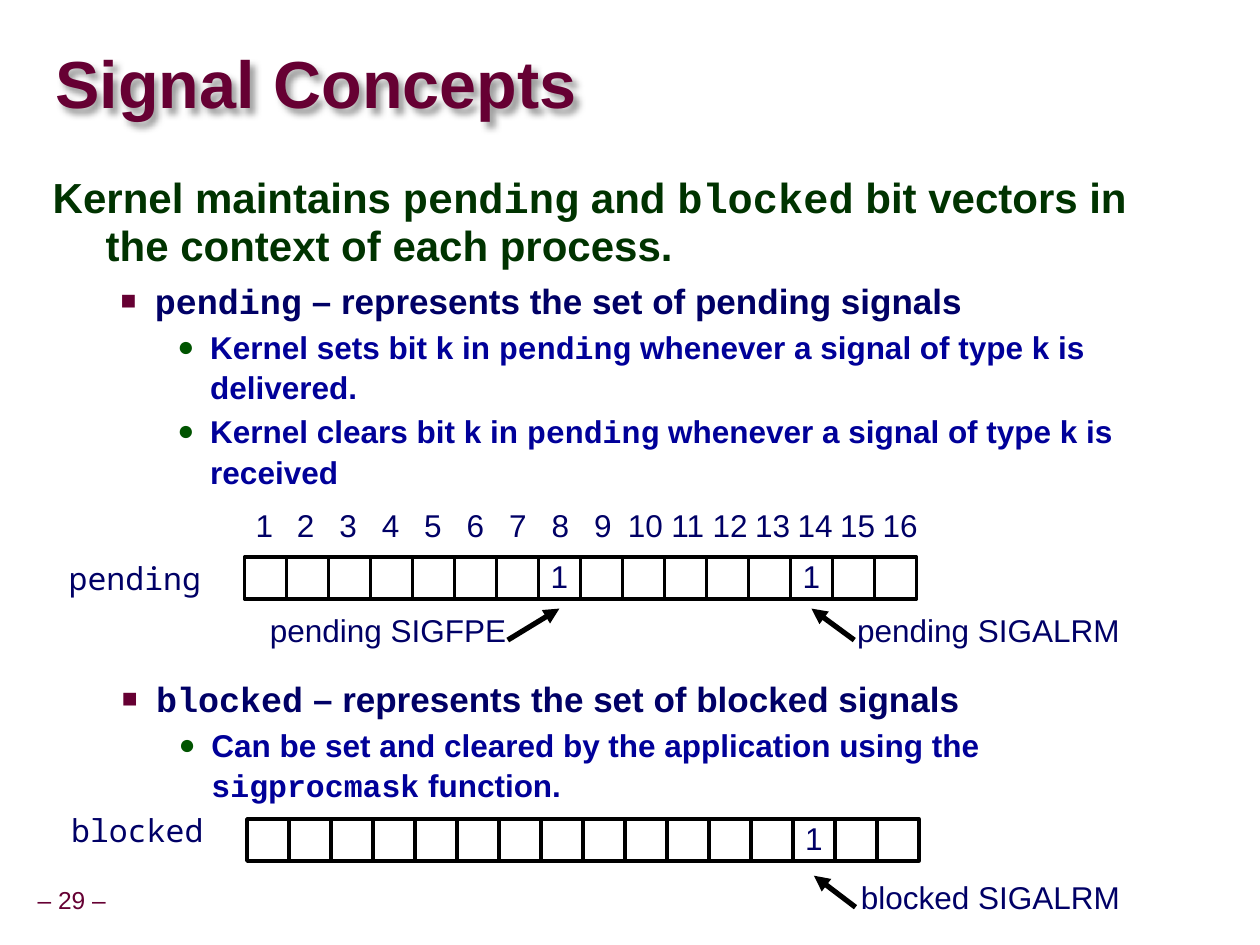
from lxml import etree
from pptx import Presentation
from pptx.dml.color import RGBColor
from pptx.enum import shapes, text
from pptx.oxml import ns
from pptx.util import Inches, Pt

THEME = dict(
    maroon="660033", green="003300", navy="000066", blue="000099", dot="005400",
    black="000000", sans="Arial", code="Courier New", mono="Noto Sans Mono",
    title=38, lead=24, item=20, detail=18, footer=14,
)
LEVELS = [  # indents in inches, spacing in points, bullet as sign, colour, percent
    dict(size="lead", color="green", left=0.42, hang=0.42, before=12, line=0.95, bullet=None),
    dict(size="item", color="navy", left=0.81, hang=0.27, before=5, line=1.0,
         bullet=("■", "maroon", 75)),
    dict(size="detail", color="blue", left=1.25, hang=0.26, before=2, line=1.07,
         bullet=("●", "dot", 90)),
]
CELL = 1 / 3
BITS = 16

deck = Presentation()
deck.slide_width, deck.slide_height = Inches(10), Inches(7.5)
slide = deck.slides.add_slide(deck.slide_layouts[6])


def sub(parent, tag, **attributes):
    return etree.SubElement(parent, ns.qn(tag), {k: str(v) for k, v in attributes.items()})


def write(shape, paragraphs, inset=(0.1, 0.05), wrap=False, anchor="TOP", align="CENTER"):
    """Each paragraph is (runs, size, colour, line spacing, bold); a run is (words, font)."""
    frame = shape.text_frame
    margins = dict(zip(("margin_left", "margin_top", "margin_right", "margin_bottom"),
                       map(Inches, inset * 2)))
    for name, value in dict(margins, word_wrap=wrap,
                            vertical_anchor=text.MSO_ANCHOR[anchor]).items():
        setattr(frame, name, value)
    for index, (runs, size, color, spacing, bold) in enumerate(paragraphs):
        line = frame.add_paragraph() if index else frame.paragraphs[0]
        line.alignment, line.line_spacing = text.PP_ALIGN[align], spacing
        for words, font in runs:
            run = line.add_run()
            run.text = words
            for name, value in dict(name=THEME[font], size=Pt(THEME[size]), bold=bold).items():
                setattr(run.font, name, value)
            run.font.color.rgb = RGBColor.from_string(THEME[color])
    return frame


# Title with a soft shadow
title = slide.shapes.add_textbox(*map(Inches, (0.44, 0.27, 9.53, 0.85)))
write(title, [([("Signal Concepts", "sans")], "title", "maroon", 0.87, True)],
      inset=(0, 0), wrap=True, anchor="MIDDLE", align="LEFT")
effects = sub(title._element.spPr, "a:effectLst")
shadow = sub(effects, "a:outerShdw", blurRad=Inches(0.05), dist=Inches(0.05), dir=2700000)
sub(sub(shadow, "a:srgbClr", val=THEME["black"]), "a:alpha", val=40000)

# Outline text: (level, runs)
outlines = [
    ((0.32, 1.34, 9.09, 2.58), [
        (0, [("Kernel maintains ", "sans"), ("pending", "code"), (" and ", "sans"),
             ("blocked", "code"),
             (" bit vectors in the context of each process.", "sans")]),
        (1, [("pending", "code"), (" – represents the set of pending signals", "sans")]),
        (2, [("Kernel sets bit k in ", "sans"), ("pending", "code"),
             (" whenever a signal of type k is delivered.", "sans")]),
        (2, [("Kernel clears bit k in ", "sans"), ("pending", "code"),
             (" whenever a signal of type k is received", "sans")]),
    ]),
    ((0.33, 5.33, 9.09, 1.08), [
        (1, [("blocked", "code"), (" – represents the set of blocked signals", "sans")]),
        (2, [("Can be set and cleared by the application using the ", "sans"),
             ("sigprocmask", "code"), (" function.", "sans")]),
    ]),
]
for place, entries in outlines:
    outline = slide.shapes.add_textbox(*map(Inches, place))
    frame = write(outline, [(runs, LEVELS[n]["size"], LEVELS[n]["color"], LEVELS[n]["line"], True)
                            for n, runs in entries], wrap=True, align="LEFT")
    for line, (n, _) in zip(frame.paragraphs, entries):
        level = LEVELS[n]
        line.level, line.space_before = n, Pt(level["before"])
        props = line._p.get_or_add_pPr()
        props.set("marL", str(Inches(level["left"])))
        props.set("indent", str(-Inches(level["hang"])))
        if level["bullet"]:
            sign, color, percent = level["bullet"]
            sub(sub(props, "a:buClr"), "a:srgbClr", val=THEME[color])
            sub(props, "a:buSzPct", val=percent * 1000)
            sub(props, "a:buFont", typeface=THEME["sans"])
            sub(props, "a:buChar", char=sign)

# Bit vectors: cells, labels and arrows
vectors = [
    dict(left=1.94, top=4.42, ones=(8, 14),
         labels=[("pending", "mono", (0.44, 4.42, 1.26, 0.38)),
                 ("pending SIGFPE", "sans", (2.03, 4.83, 2.1, 0.38)),
                 ("pending SIGALRM", "sans", (6.69, 4.83, 2.31, 0.38))],
         arrows=[(4.03, 5.08, 4.44, 4.83), (6.78, 5.08, 6.44, 4.83)]),
    dict(left=1.96, top=6.5, ones=(14,),
         labels=[("blocked", "mono", (0.46, 6.42, 1.26, 0.38)),
                 ("blocked SIGALRM", "sans", (6.72, 6.95, 2.28, 0.38))],
         arrows=[(6.79, 7.2, 6.46, 6.95)]),
]
for vector in vectors:
    parts = slide.shapes.add_group_shape().shapes
    for bit in range(1, BITS + 1):
        cell = parts.add_shape(
            shapes.MSO_SHAPE.RECTANGLE, Inches(vector["left"] + (bit - 1) * CELL),
            Inches(vector["top"]), Inches(CELL), Inches(CELL))
        cell.shadow.inherit = False
        cell.fill.background()
        cell.line.color.rgb = RGBColor.from_string(THEME["black"])
        cell.line.width = Pt(2)
        if bit in vector["ones"]:
            write(cell, [([("1", "sans")], "detail", "navy", 0.9, False)],
                  inset=(0.05, 0.05), anchor="MIDDLE")
    for words, font, place in vector["labels"]:
        label = parts.add_textbox(*map(Inches, place))
        write(label, [([(words, font)], "detail", "navy", 0.9, False)])
    for ends in vector["arrows"]:
        arrow = parts.add_connector(shapes.MSO_CONNECTOR.STRAIGHT, *map(Inches, ends))
        arrow.line.color.rgb = RGBColor.from_string(THEME["black"])
        arrow.line.width = Pt(3)
        sub(arrow.line._get_or_add_ln(), "a:tailEnd", type="triangle")
        sub(arrow._element.spPr, "a:effectLst")

# Bit numbers, centred on evenly spaced tab stops
numbers = slide.shapes.add_textbox(*map(Inches, (1.93, 4, 5.52, 0.38)))
numbering = "\t".join(str(bit) for bit in range(1, BITS + 1))
frame = write(numbers, [([(numbering, "sans")], "detail", "navy", 0.9, False)],
              wrap=True, align="LEFT")
stops = sub(frame.paragraphs[0]._p.get_or_add_pPr(), "a:tabLst")
for step in range(1, BITS):
    sub(stops, "a:tab", pos=Inches(0.06 + step * 0.337), algn="ctr")

# Page number
page = slide.shapes.add_textbox(*map(Inches, (0.24, 7, 0.66, 0.31)))
write(page, [([("– 29 –", "sans")], "footer", "maroon", 0.9, False)],
      inset=(0.05, 0.05), anchor="MIDDLE")

deck.save("out.pptx")
